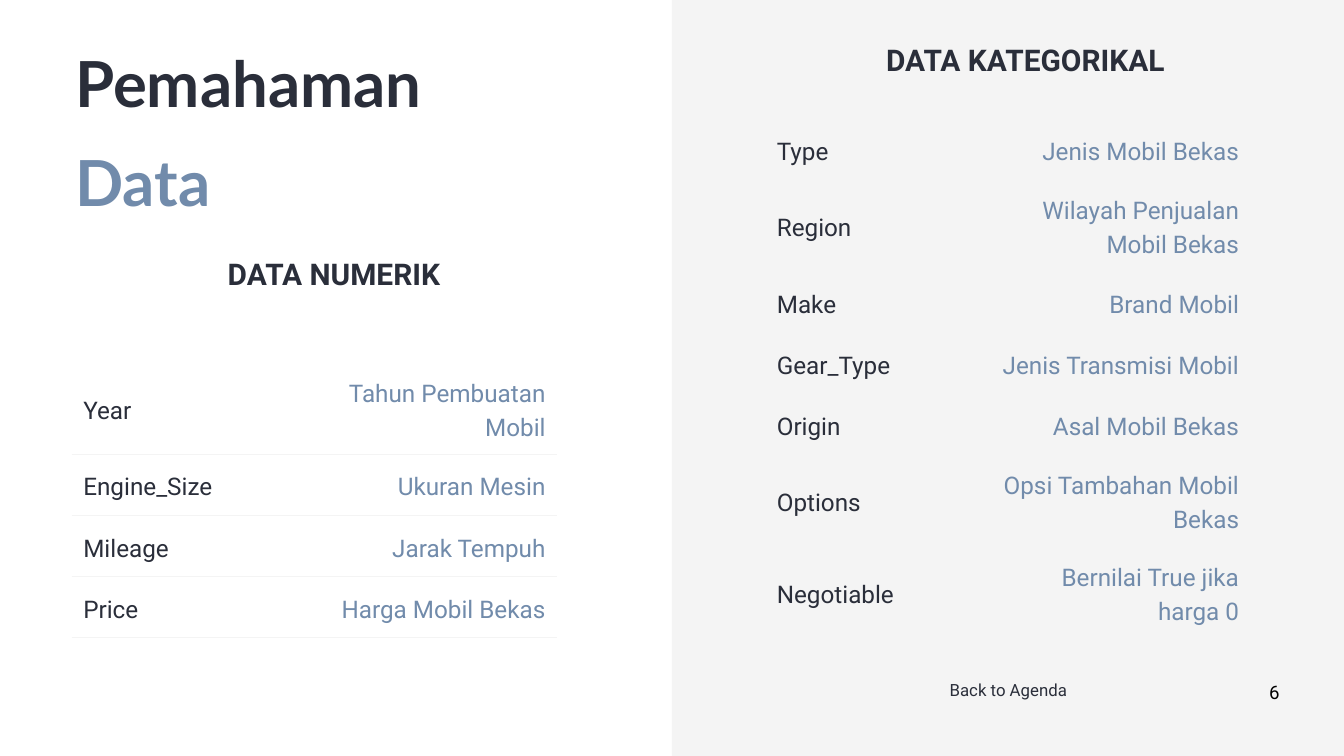
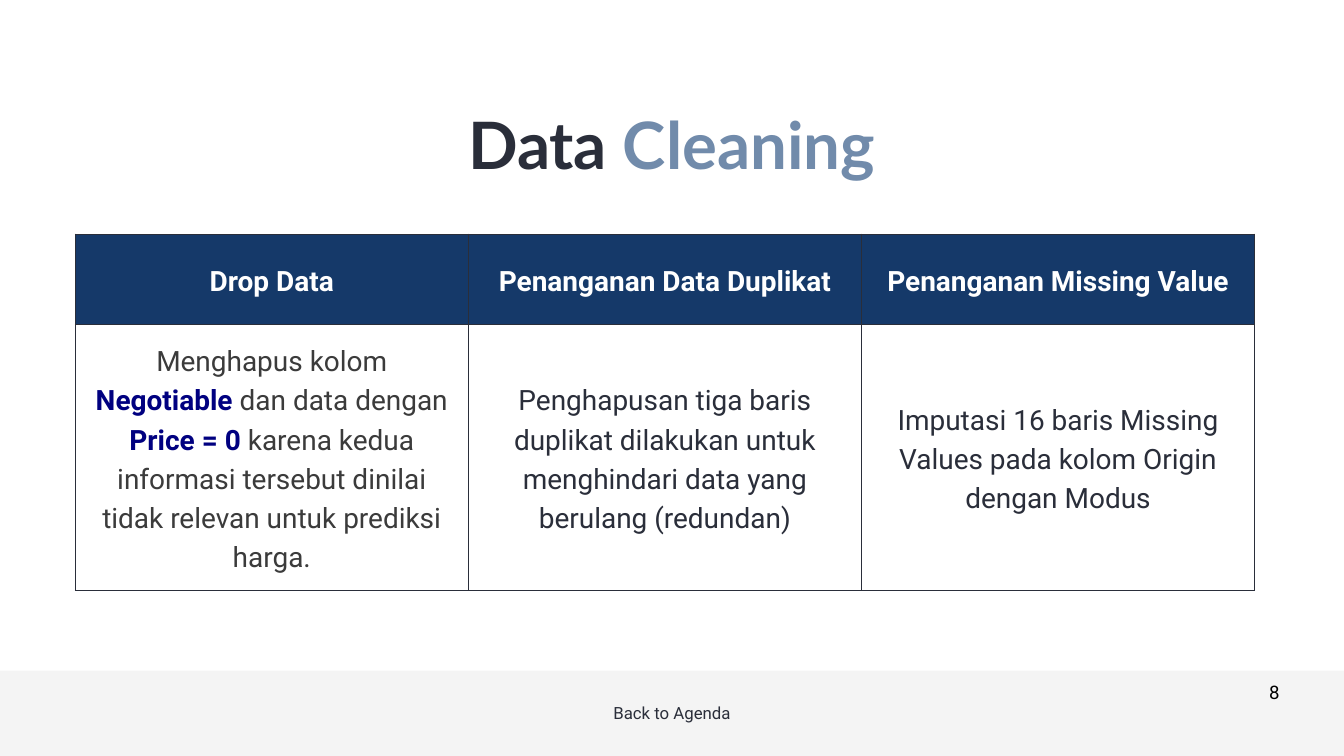
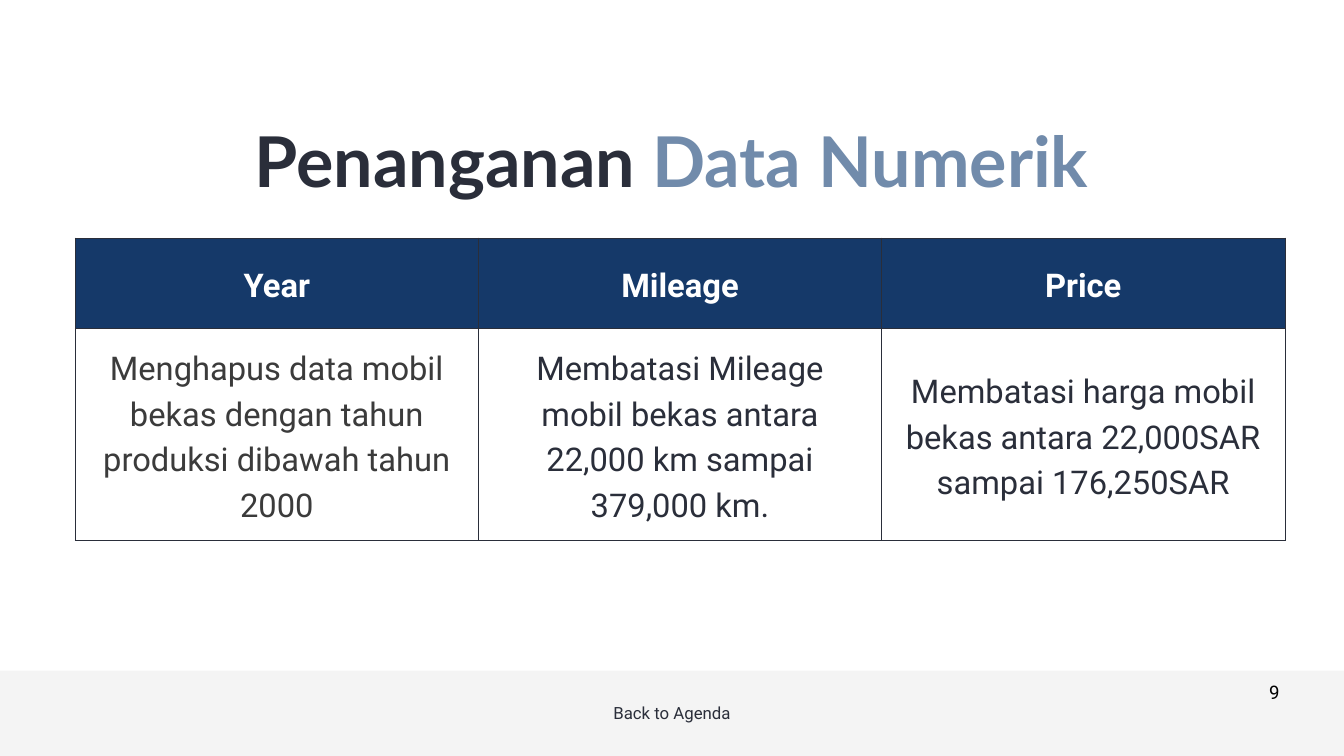
from dataclasses import dataclass
from lxml.etree import SubElement
from pptx import Presentation
from pptx.dml.color import RGBColor
from pptx.enum.shapes import MSO_SHAPE
from pptx.enum.text import MSO_ANCHOR, PP_ALIGN
from pptx.oxml.ns import qn
from pptx.util import Inches, Pt


@dataclass(frozen=True)
class Theme:
    ink: str = "2A2E3A"
    accent: str = "718BAB"
    band: str = "F4F4F4"
    header: str = "153969"
    grey: str = "3B3B3B"
    navy: str = "000080"
    white: str = "FFFFFF"
    black: str = "000000"
    title_font: str = "Lato"
    body_font: str = "Roboto"
    heading: int = 32
    listing: int = 26
    number: int = 20
    footer: int = 18
    leading: float = 1.4
    tight: float = 1.3


T = Theme()
NO_STYLE = "{2D5ABB26-0587-4C30-8999-92F81FD0307C}"
LEFT, CENTER, RIGHT = PP_ALIGN.LEFT, PP_ALIGN.CENTER, PP_ALIGN.RIGHT


def write(tf, runs, size, leading=T.leading, align=CENTER, font=T.body_font):
    tf.word_wrap = True
    p = tf.paragraphs[0]
    p.alignment = align
    p.line_spacing = Pt(size * leading)
    for text, color, bold in runs:
        r = p.add_run()
        r.text = text
        r.font.name = font
        r.font.size = Pt(size)
        r.font.bold = bold
        r.font.color.rgb = RGBColor.from_string(color)


def add_grid(s, left, top, widths, heights, rows, size, margin, aligns, boxed):
    frame = s.shapes.add_table(len(rows), len(widths), Inches(left), Inches(top),
                               Inches(sum(widths)), Inches(sum(heights)))
    table = frame.table
    table.first_row = boxed
    table.horz_banding = False
    table._tbl.tblPr.find(qn("a:tableStyleId")).text = NO_STYLE
    for column, width in zip(table.columns, widths):
        column.width = Inches(width)
    for i, (row, height) in enumerate(zip(rows, heights)):
        table.rows[i].height = Inches(height)
        for j, runs in enumerate(row):
            cell = table.cell(i, j)
            cell.vertical_anchor = MSO_ANCHOR.MIDDLE
            cell.margin_left = cell.margin_right = Inches(margin)
            cell.margin_top = cell.margin_bottom = Inches(margin)
            write(cell.text_frame, runs, size, align=aligns[j])
            tcPr = cell._tc.get_or_add_tcPr()
            for side in "LRTB":
                ln = SubElement(tcPr, qn(f"a:ln{side}"), w=str(Pt(0.75)))
                if boxed or side == "B" or (side == "T" and i):
                    fill = SubElement(ln, qn("a:solidFill"))
                    SubElement(fill, qn("a:srgbClr"), val=T.ink if boxed else T.band)
                else:
                    SubElement(ln, qn("a:noFill"))
            if boxed and i == 0:
                cell.fill.solid()
                cell.fill.fore_color.rgb = RGBColor.from_string(T.header)
            else:
                cell.fill.background()


prs = Presentation()
prs.slide_width = Inches(20)
prs.slide_height = Inches(11.25)

bottom_band = (0, 9.98, 20, 1.27)
bottom_link = (7.16, 10.43, 5.68, 0.33)
pages = [
    {"number": "6", "band": (10, 0, 10, 11.25), "link": (13.49, 10.09, 3.03, 0.33),
     "title": ("Pemahaman ", "Data"), "box": (1.12, 0.33, 7.11, 2.86),
     "size": 68, "leading": 1.55, "align": LEFT},
    {"number": "8", "band": bottom_band, "link": bottom_link,
     "title": ("Data ", "Cleaning"), "box": (2.86, 1.46, 14.27, 1.25),
     "size": 70, "leading": T.tight, "align": CENTER},
    {"number": "9", "band": bottom_band, "link": bottom_link,
     "title": ("Penanganan ", "Data Numerik"), "box": (1.99, 1.65, 16.01, 1.34),
     "size": 75, "leading": T.tight, "align": CENTER},
]

for page in pages:
    s = prs.slides.add_slide(prs.slide_layouts[6])
    band = s.shapes.add_shape(MSO_SHAPE.RECTANGLE, *map(Inches, page["band"]))
    band.shadow.inherit = False
    band.fill.solid()
    band.fill.fore_color.rgb = RGBColor.from_string(T.band)
    band.line.fill.background()

    first, second = page["title"]
    texts = [
        (page["link"], [("Back to Agenda", T.ink, False)], T.footer, T.tight, CENTER, T.body_font),
        (page["box"], [(first, T.ink, True), (second, T.accent, True)],
         page["size"], page["leading"], page["align"], T.title_font),
        ((18.88, 10.07, 0.17, 0.22), [(page["number"], T.black, False)],
         T.number, T.leading, CENTER, T.body_font),
    ]
    if page is pages[0]:
        for left, top, heading in [(1.76, 3.72, "DATA NUMERIK"), (12.05, 0.53, "DATA KATEGORIKAL")]:
            texts.append(((left, top, 6.42, 0.6), [(heading, T.ink, True)],
                          T.heading, T.leading, CENTER, T.body_font))
    for box, *style in texts:
        tf = s.shapes.add_textbox(*map(Inches, box)).text_frame
        tf.margin_left = tf.margin_right = tf.margin_top = tf.margin_bottom = 0
        write(tf, *style)

numeric = [
    ("Year", "Tahun Pembuatan Mobil", 1.36),
    ("Engine_Size", "Ukuran Mesin", 0.91),
    ("Mileage", "Jarak Tempuh", 0.91),
    ("Price", "Harga Mobil Bekas", 0.91),
]
categorical = [
    ("Type", "Jenis Mobil Bekas", 0.91),
    ("Region", "Wilayah Penjualan Mobil Bekas", 1.36),
    ("Make", "Brand Mobil", 0.91),
    ("Gear_Type", "Jenis Transmisi Mobil", 0.91),
    ("Origin", "Asal Mobil Bekas", 0.91),
    ("Options", "Opsi Tambahan Mobil Bekas", 1.36),
    ("Negotiable", "Bernilai True jika harga 0", 1.36),
]
for left, top, fields in [(1.07, 5.4, numeric), (11.39, 1.77, categorical)]:
    rows = [([(name, T.ink, False)], [(meaning, T.accent, False)]) for name, meaning, _ in fields]
    heights = [height for _, _, height in fields]
    add_grid(prs.slides[0], left, top, (3.34, 3.88), heights, rows,
             T.listing, 0.17, (LEFT, RIGHT), False)

cleaning = [
    ("Drop Data", [
        ("Menghapus kolom ", T.grey, False),
        ("Negotiable", T.navy, True),
        (" dan data dengan ", T.grey, False),
        ("Price = 0", T.navy, True),
        (" karena kedua informasi tersebut dinilai tidak relevan untuk prediksi harga.", T.grey, False),
    ]),
    ("Penanganan Data Duplikat", [
        ("Penghapusan tiga baris duplikat dilakukan untuk menghindari data yang berulang (redundan)",
         T.ink, False)]),
    ("Penanganan Missing Value", [
        ("Imputasi 16 baris Missing Values pada kolom Origin dengan Modus", T.ink, False)]),
]
limits = [
    ("Year", [("Menghapus data mobil bekas dengan tahun produksi dibawah tahun 2000", T.grey, False)]),
    ("Mileage", [("Membatasi Mileage mobil bekas antara 22,000 km sampai 379,000 km.", T.ink, False)]),
    ("Price", [("Membatasi harga mobil bekas antara 22,000SAR sampai 176,250SAR", T.ink, False)]),
]
for index, top, width, height, size, steps in [
    (1, 3.48, 5.85, 3.96, 30, cleaning),
    (2, 3.54, 6, 3.16, 35, limits),
]:
    rows = [[[(name, T.white, True)] for name, _ in steps], [runs for _, runs in steps]]
    add_grid(prs.slides[index], 1.12, top, [width] * 3, (1.34, height), rows,
             size, 0.21, [CENTER] * 3, True)

prs.save("out.pptx")
